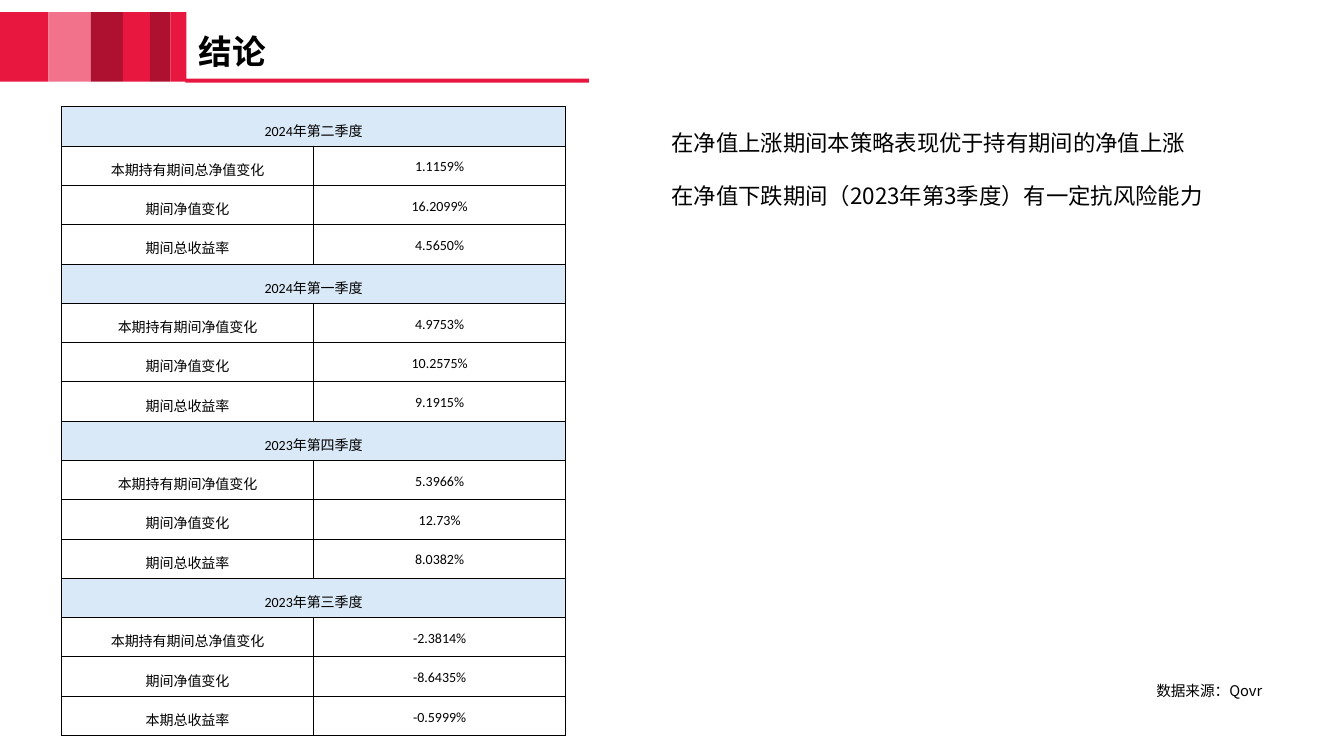
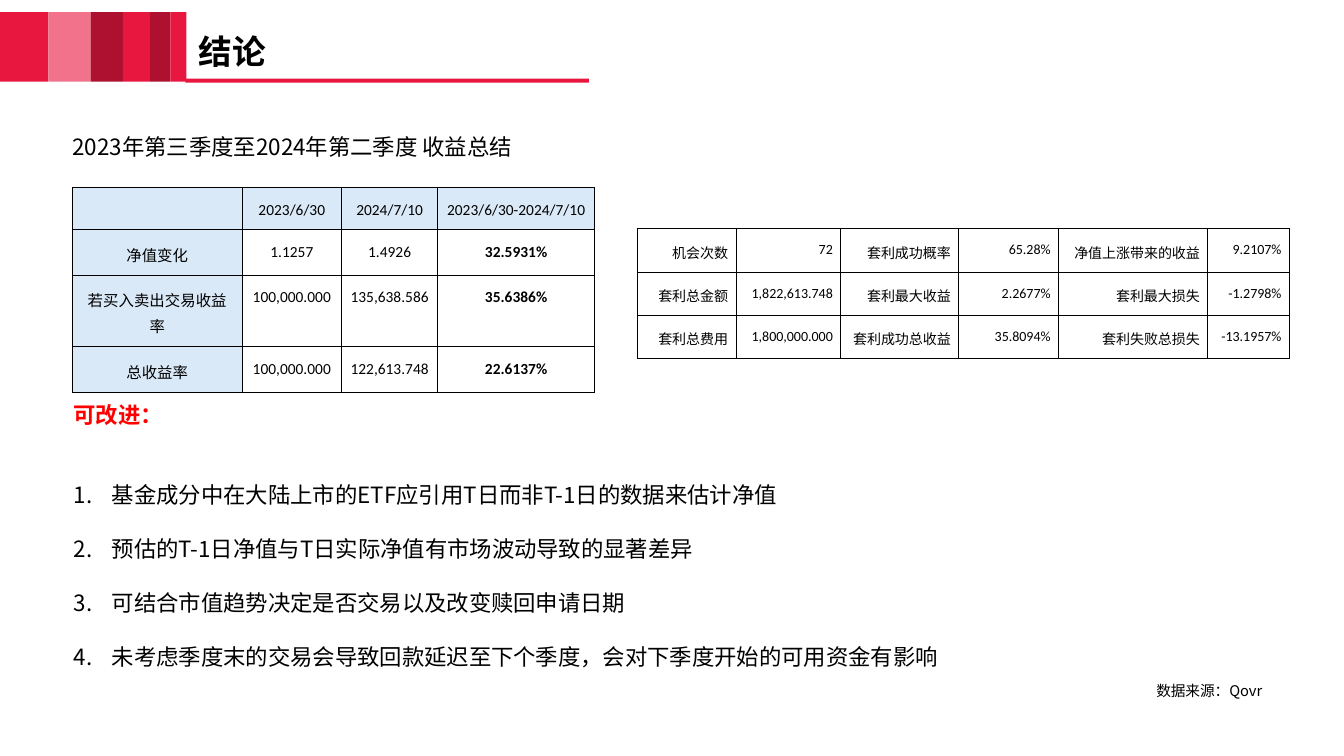
"""Build two conclusion slides on fund returns, with shared bands, titles and tables."""
import dataclasses
import itertools

import lxml.etree
import pptx
import pptx.dml.color
import pptx.enum.shapes
import pptx.enum.text
import pptx.oxml.ns
import pptx.util

PX = 9144
qn = pptx.oxml.ns.qn
Pt = pptx.util.Pt
RGB = pptx.dml.color.RGBColor.from_string
ALIGN = pptx.enum.text.PP_ALIGN


@dataclasses.dataclass(frozen=True)
class Theme:
    red: str = "E8173F"
    pink: str = "F1728A"
    dark_red: str = "AE112F"
    alert: str = "FF0000"
    ink: str = "000000"
    header: str = "DAE9F7"
    cjk: str = "Noto Sans CJK SC"
    label: str = "Arial"
    number: str = "Calibri"
    title_size: float = 24
    body_size: float = 16
    summary_size: float = 11
    table_size: float = 10
    source_size: float = 10.5


THEME = Theme()


def write(paragraph, text, size, color=THEME.ink, bold=False, in_table=False, **formats):
    """Fill a paragraph and apply its paragraph formats."""
    for name, value in formats.items():
        setattr(paragraph, name, value)
    pieces = [(True, text)]
    if in_table:
        pieces = [(is_latin, "".join(group)) for is_latin, group in itertools.groupby(text, str.isascii)]
    for is_latin, piece in pieces:
        run = paragraph.add_run()
        run.text = piece
        face = (THEME.number if is_latin else THEME.label) if in_table else THEME.cjk
        for name, value in {"name": face, "size": Pt(size), "bold": bold}.items():
            setattr(run.font, name, value)
        run.font.color.rgb = RGB(color)
        east_asian = lxml.etree.Element(qn("a:ea"), typeface=THEME.cjk)
        run.font._element.find(qn("a:latin")).addnext(east_asian)


def add_grid(slide, left, top, widths, heights, rows, size, align, bottom, is_header, is_bold):
    """Add a bordered table; the two rules take a row and a column number."""
    frame = slide.shapes.add_table(len(rows), len(widths), left * PX, top * PX,
                                   sum(widths) * PX, sum(heights) * PX)
    table = frame.table
    table.first_row = table.horz_banding = False
    for column, width in zip(table.columns, widths):
        column.width = width * PX
    for table_row, height in zip(table.rows, heights):
        table_row.height = height * PX
    for row, column in itertools.product(range(len(rows)), range(len(widths))):
        cell = table.cell(row, column)
        properties = cell._tc.get_or_add_tcPr()
        for side in ("lnL", "lnR", "lnT", "lnB"):
            border = lxml.etree.SubElement(properties, qn(f"a:{side}"), w=str(Pt(0.75)))
            fill = lxml.etree.SubElement(border, qn("a:solidFill"))
            lxml.etree.SubElement(fill, qn("a:srgbClr"), val=THEME.ink)
        if is_header(row, column):
            cell.fill.solid()
            cell.fill.fore_color.rgb = RGB(THEME.header)
        else:
            cell.fill.background()
        text = rows[row][column] if column < len(rows[row]) else ""
        margins = {"margin_left": 8, "margin_right": 8, "margin_top": 10, "margin_bottom": bottom}
        for name, value in margins.items():
            setattr(cell, name, value * PX if text else 0)
        if text:
            write(cell.text_frame.paragraphs[0], text, size, bold=is_bold(row, column),
                  in_table=True, alignment=align, line_spacing=1.15)
        if len(rows[row]) == 1 and column == 0:
            cell.merge(table.cell(row, len(widths) - 1))


presentation = pptx.Presentation()
presentation.slide_width, presentation.slide_height = 1333 * PX, 750 * PX
layout = presentation.slide_layouts[1]
slides = [presentation.slides.add_slide(layout) for _ in range(2)]
quarter_slide, summary_slide = slides

BANDS = [
    (0, 12, 48, 69, THEME.red),
    (48, 12, 42, 69, THEME.pink),
    (90, 12, 32, 69, THEME.dark_red),
    (122, 12, 27, 69, THEME.red),
    (149, 12, 20, 69, THEME.dark_red),
    (169, 12, 16, 69, THEME.red),
    (184, 78, 400, 4, THEME.red),
]
for left, top, width, height, color in BANDS:
    band = quarter_slide.shapes.add_shape(pptx.enum.shapes.MSO_SHAPE.RECTANGLE,
                                          left * PX, top * PX, width * PX, height * PX)
    band.shadow.inherit = False
    band.fill.solid()
    band.fill.fore_color.rgb = RGB(color)
    band.line.fill.background()
    layout.shapes.element.append(band.element)

SOURCE = (952, 672, 300, 18, "数据来源：Qovr", THEME.source_size, 16, ALIGN.RIGHT)
SUBTITLE = (72, 125, 520, 27, "2023年第三季度至2024年第二季度 收益总结", THEME.body_size, 24, ALIGN.LEFT)
BODY_BOXES = [(666, 121, 600, 189, 0, 0), (63, 386, 1000, 290, 10, 5)]
BODY_TEXTS = [
    ["在净值上涨期间本策略表现优于持有期间的净值上涨",
     "在净值下跌期间（2023年第3季度）有一定抗风险能力"],
    ["可改进：",
     "基金成分中在大陆上市的ETF应引用T日而非T-1日的数据来估计净值",
     "预估的T-1日净值与T日实际净值有市场波动导致的显著差异",
     "可结合市值趋势决定是否交易以及改变赎回申请日期",
     "未考虑季度末的交易会导致回款延迟至下个季度，会对下季度开始的可用资金有影响"],
]
TEXT_BOXES = [[SOURCE], [SOURCE, SUBTITLE]]

for slide, body_box, body_texts, text_boxes in zip(slides, BODY_BOXES, BODY_TEXTS, TEXT_BOXES):
    title, body = slide.placeholders
    for shape, box in ((title, (197, 36, 486, 34, 0, 0)), (body, body_box)):
        left, top, width, height, inset_x, inset_y = box
        for name, value in {"left": left, "top": top, "width": width, "height": height}.items():
            setattr(shape, name, value * PX)
        frame_formats = {
            "margin_left": inset_x * PX, "margin_right": inset_x * PX,
            "margin_top": inset_y * PX, "margin_bottom": inset_y * PX,
            "word_wrap": True, "auto_size": pptx.enum.text.MSO_AUTO_SIZE.NONE,
        }
        for name, value in frame_formats.items():
            setattr(shape.text_frame, name, value)
    title.text_frame.vertical_anchor = pptx.enum.text.MSO_ANCHOR.MIDDLE
    write(title.text_frame.paragraphs[0], "结论", THEME.title_size, bold=True,
          alignment=ALIGN.LEFT, line_spacing=0.9)

    body.text_frame.vertical_anchor = pptx.enum.text.MSO_ANCHOR.TOP
    for number, text in enumerate(body_texts):
        paragraph = body.text_frame.paragraphs[0] if number == 0 else body.text_frame.add_paragraph()
        is_item = slide is summary_slide and number > 0
        is_heading = slide is summary_slide and number == 0
        properties = paragraph._p.get_or_add_pPr()
        indent = 38 * PX if is_item else 0
        properties.set("marL", str(indent))
        properties.set("indent", str(-indent))
        if is_item:
            bullet_color = lxml.etree.SubElement(properties, qn("a:buClr"))
            lxml.etree.SubElement(bullet_color, qn("a:srgbClr"), val=THEME.ink)
            lxml.etree.SubElement(properties, qn("a:buFont"), typeface=THEME.cjk)
            lxml.etree.SubElement(properties, qn("a:buAutoNum"), type="arabicPeriod")
        else:
            lxml.etree.SubElement(properties, qn("a:buNone"))
        gap = (18.5 if is_item else 14) if number == 1 else 0
        write(paragraph, text, THEME.body_size, color=THEME.alert if is_heading else THEME.ink,
              bold=is_heading, alignment=ALIGN.LEFT, space_before=Pt(gap),
              line_spacing=Pt(38.6 if is_item else 24))

    for left, top, width, height, text, size, line_height, align in text_boxes:
        text_box = slide.shapes.add_textbox(left * PX, top * PX, width * PX, height * PX)
        frame = text_box.text_frame
        frame.word_wrap = True
        for side in ("left", "right", "top", "bottom"):
            setattr(frame, f"margin_{side}", 0)
        write(frame.paragraphs[0], text, size, alignment=align, line_spacing=Pt(line_height))

QUARTERS = [
    ["2024年第二季度"],
    ["本期持有期间总净值变化", "1.1159%"],
    ["期间净值变化", "16.2099%"],
    ["期间总收益率", "4.5650%"],
    ["2024年第一季度"],
    ["本期持有期间净值变化", "4.9753%"],
    ["期间净值变化", "10.2575%"],
    ["期间总收益率", "9.1915%"],
    ["2023年第四季度"],
    ["本期持有期间净值变化", "5.3966%"],
    ["期间净值变化", "12.73%"],
    ["期间总收益率", "8.0382%"],
    ["2023年第三季度"],
    ["本期持有期间总净值变化", "-2.3814%"],
    ["期间净值变化", "-8.6435%"],
    ["本期总收益率", "-0.5999%"],
]
RETURNS = [
    ["", "2023/6/30", "2024/7/10", "2023/6/30-2024/7/10"],
    ["净值变化", "1.1257", "1.4926", "32.5931%"],
    ["若买入卖出交易收益率", "100,000.000", "135,638.586", "35.6386%"],
    ["总收益率", "100,000.000", "122,613.748", "22.6137%"],
]
ARBITRAGE = [
    ["机会次数", "72", "套利成功概率", "65.28%", "净值上涨带来的收益", "9.2107%"],
    ["套利总金额", "1,822,613.748", "套利最大收益", "2.2677%", "套利最大损失", "-1.2798%"],
    ["套利总费用", "1,800,000.000", "套利成功总收益", "35.8094%", "套利失败总损失", "-13.1957%"],
]

add_grid(quarter_slide, 61, 106, [250] * 2, [39] * 16, QUARTERS, THEME.table_size, ALIGN.CENTER, 6,
         is_header=lambda row, column: row % 4 == 0, is_bold=lambda row, column: False)
add_grid(summary_slide, 72, 186, [168, 99, 95, 156], [42, 45, 71, 45], RETURNS,
         THEME.summary_size, ALIGN.CENTER, 10,
         is_header=lambda row, column: row == 0 or column == 0,
         is_bold=lambda row, column: row > 0 and column == 3)
add_grid(summary_slide, 632, 227, [98, 104, 117, 99, 148, 81], [43] * 3, ARBITRAGE,
         THEME.table_size, ALIGN.RIGHT, 10,
         is_header=lambda row, column: False, is_bold=lambda row, column: False)

presentation.save("out.pptx")
